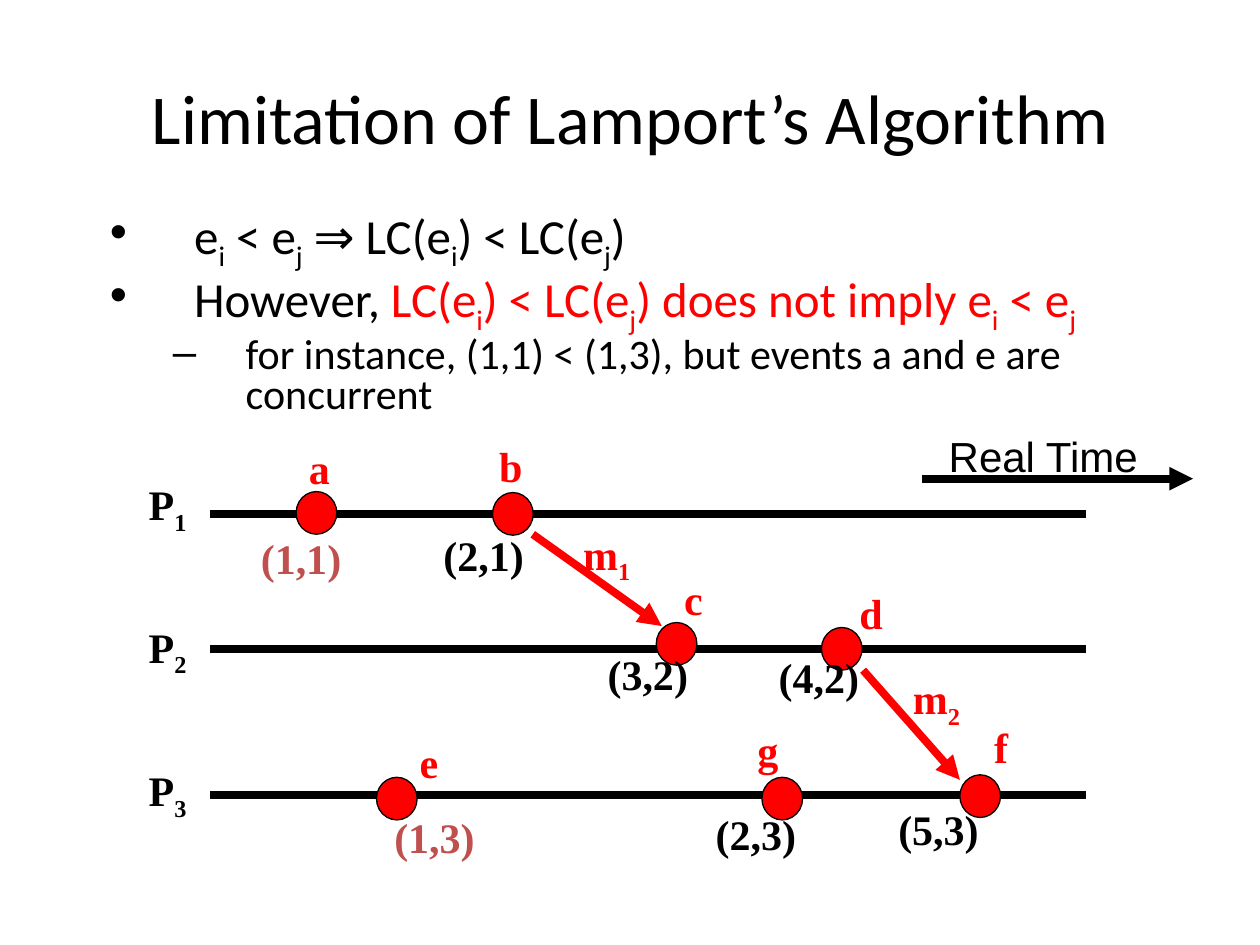
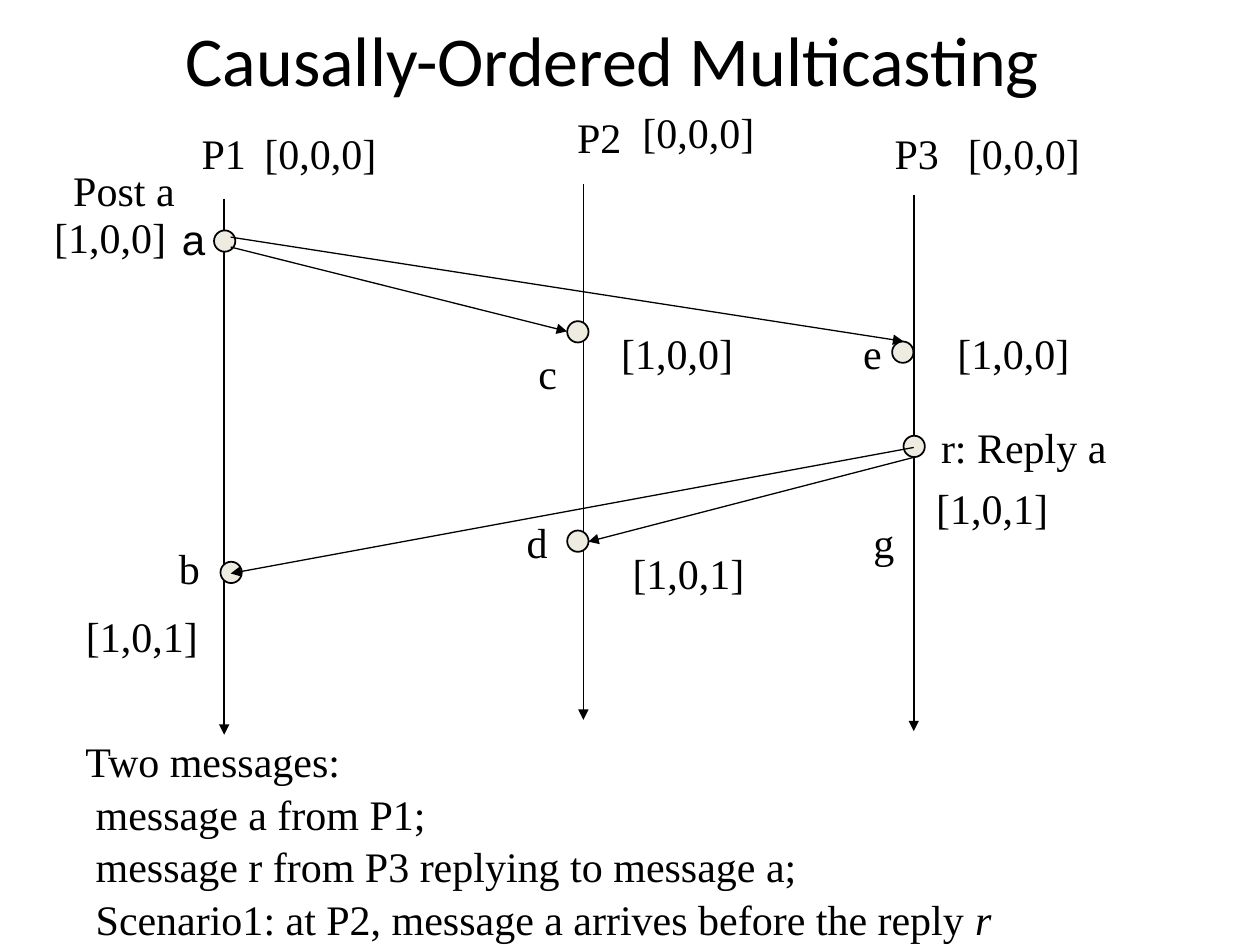
from pptx import Presentation
from pptx import util as u
from pptx.dml.color import RGBColor
from pptx.enum import shapes, text
from pptx.oxml import ns
from lxml import etree

Cm, Pt = u.Cm, u.Pt
COLORS = {"black": "000000", "red": "FF0000", "brick": "C0504D", "cream": "EEECE1"}
TITLE_FONT, LABEL_FONT, PLAIN_FONT = "Calibri", "Times New Roman", "Arial"


def rgb(name):
    return RGBColor.from_string(COLORS[name])


def write(p, words, size=24, font=LABEL_FONT, color="black", bold=False, italic=False):
    """Add words to a paragraph; the character after each "_" is a subscript."""
    first, *rest = words.split("_")
    pieces = [(first, False)]
    for part in rest:
        pieces += [(part[0], True), (part[1:], False)]
    for piece, lowered in pieces:
        if not piece:
            continue
        r = p.add_run()
        r.text = piece
        r.font.size, r.font.name = Pt(size), font
        r.font.bold, r.font.italic = bold, italic
        r.font.color.rgb = rgb(color)
        if lowered:
            r._r.get_or_add_rPr().set("baseline", "-25000")


def indent(p, left, hanging=0):
    pPr = p._p.get_or_add_pPr()
    pPr.set("marL", str(Cm(left)))
    pPr.set("indent", str(Cm(-hanging)))


class Deck:
    """Holds the style and the current slide."""

    def __init__(self):
        self.prs = Presentation()
        self.prs.slide_width, self.prs.slide_height = Cm(25.4), Cm(19.05)

    def place(self, sp, left, top, width, height):
        sp.left, sp.top, sp.width, sp.height = Cm(left), Cm(top), Cm(width), Cm(height)

    def slide(self, title, box, layout):
        self.s = self.prs.slides.add_slide(self.prs.slide_layouts[layout])
        sp = self.s.shapes.title
        self.place(sp, *box)
        tf = sp.text_frame
        tf.auto_size = text.MSO_AUTO_SIZE.NONE
        tf.vertical_anchor = text.MSO_ANCHOR.MIDDLE
        p = tf.paragraphs[0]
        p.alignment = text.PP_ALIGN.CENTER
        write(p, title, size=40, font=TITLE_FONT)

    def bullets(self, items, box):
        sp = self.s.placeholders[1]
        self.place(sp, *box)
        tf = sp.text_frame
        tf.auto_size = text.MSO_AUTO_SIZE.NONE
        for i, (level, runs) in enumerate(items):
            p = tf.add_paragraph() if i else tf.paragraphs[0]
            p.level, p.line_spacing = level, 0.8
            if not i:
                p.space_before = Pt(0)
            indent(p, *((1.7, 1.7), (2.74, 1.47))[level])
            for words, color in runs:
                write(p, words, size=(28, 24)[level], font=TITLE_FONT, color=color)

    def textbox(self, left, top, width, height, wrap):
        sp = self.s.shapes.add_textbox(Cm(left), Cm(top), Cm(width), Cm(height))
        sp.text_frame.word_wrap = wrap
        return sp.text_frame

    def label(self, words, x, top, width=1, **fmt):
        """One line of text centred on x."""
        p = self.textbox(x - width / 2, top, width, 1.27, False).paragraphs[0]
        p.alignment = text.PP_ALIGN.CENTER
        write(p, words, **fmt)

    def dot(self, x, y, width, height, fill, line):
        sp = self.s.shapes.add_shape(shapes.MSO_SHAPE.OVAL, Cm(x - width / 2),
                                     Cm(y - height / 2), Cm(width), Cm(height))
        sp.shadow.inherit = False
        sp.fill.solid()
        sp.fill.fore_color.rgb = rgb(fill)
        sp.line.color.rgb, sp.line.width = rgb("black"), Pt(line)

    def line(self, x1, y1, x2, y2, width, color="black", arrow=True):
        c = self.s.shapes.add_connector(shapes.MSO_CONNECTOR.STRAIGHT,
                                        Cm(x1), Cm(y1), Cm(x2), Cm(y2))
        c.line.color.rgb, c.line.width = rgb(color), Pt(width)
        if arrow:
            etree.SubElement(c.line._get_or_add_ln(), ns.qn("a:tailEnd"), type="triangle")
        etree.SubElement(c._element.spPr, ns.qn("a:effectLst"))


def limitation(d):
    d.slide("Limitation of Lamport’s Algorithm", (1.27, 0.76, 22.86, 3.18), layout=1)
    d.bullets([
        (0, [("e_i < e_j ⇒ LC(e_i) < LC(e_j)", "black")]),
        (0, [("However, ", "black"),
             ("LC(e_i) < LC(e_j) does not imply e_i < e_j", "red")]),
        (1, [("for instance, (1,1) < (1,3), but events a and e are concurrent", "black")]),
    ], (1.96, 4.14, 21.82, 4.34))

    # Process lines: name, line y, name top
    for name, y, top in (("P_1", 10.36, 9.53), ("P_2", 13.08, 12.4), ("P_3", 16.03, 15.29)):
        d.line(4.24, y, 21.89, y, 4.5, arrow=False)
        d.label(name, 3.38, top, 1.32, bold=True)

    # Time direction
    d.line(18.59, 9.65, 24.05, 9.65, 4.5)
    d.label("Real Time", 21.03, 8.56, 4.37, font=PLAIN_FONT)

    # Events: name and its place, dot centre, timestamp and its place
    events = [
        ("a", 6.44, 8.79, 6.38, 10.34, "(1,1)", 6.07, 10.62),
        ("b", 10.3, 8.76, 10.34, 10.36, "(2,1)", 9.75, 10.54),
        ("c", 13.98, 11.43, 13.64, 12.98, "(3,2)", 13.06, 12.95),
        ("d", 17.56, 11.71, 16.97, 13.08, "(4,2)", 16.51, 13),
        ("e", 8.65, 14.73, 8, 16.1, "(1,3)", 8.76, 16.23),
        ("f", 20.18, 14.43, 19.76, 16.05, "(5,3)", 18.92, 16.08),
        ("g", 15.48, 14.48, 15.77, 16.1, "(2,3)", 15.24, 16.18),
    ]
    for name, x, top, dot_x, dot_y, stamp, stamp_x, stamp_top in events:
        d.dot(dot_x, dot_y, 0.82, 0.86, "red", 0.75)
        d.label(name, x, top, color="red", bold=True)
        d.label(stamp, stamp_x, stamp_top, 2.13, bold=True,
                color="brick" if name in "ae" else "black")

    # Messages
    for name, x, top, ends in (("m_1", 12.23, 10.52, (10.74, 10.77, 13.34, 12.62)),
                               ("m_2", 18.88, 13.44, (17.4, 13.51, 19.35, 15.72))):
        d.line(*ends, 4.5, color="red")
        d.label(name, x, top, 1.5, color="red", bold=True)


def multicasting(d):
    d.slide("Causally-Ordered Multicasting", (0.46, 0, 23.77, 2.34), layout=5)

    # Processes: name, line x and top, name place, initial clock place
    for name, x, top, name_x, name_top, clock_x, clock_top in (
            ("P1", 4.52, 4.01, 4.51, 2.44, 6.46, 2.44),
            ("P2", 11.76, 3.71, 12.08, 2.13, 14.08, 2.03),
            ("P3", 18.42, 3.94, 18.48, 2.44, 20.64, 2.44)):
        d.line(x, top, x, top + 10.8, 1)
        d.label(name, name_x, name_top, 1.4)
        d.label("[0,0,0]", clock_x, clock_top, 2.77)

    # Event dots
    for x, y in ((4.53, 4.86), (4.66, 11.54), (11.65, 6.69),
                 (11.65, 10.91), (18.2, 7.1), (18.43, 9)):
        d.dot(x, y, 0.43, 0.43, "cream", 1)

    # Messages
    for ends in ((4.65, 4.98, 11.43, 6.68), (4.65, 4.78, 18.21, 6.88),
                 (18.42, 9.22, 11.86, 10.92), (18.42, 9.02, 4.65, 11.56)):
        d.line(*ends, 0.75)

    # Event names
    d.label("a", 3.9, 4.17, font=PLAIN_FONT)
    for name, x, top in (("b", 3.82, 10.82), ("c", 11.04, 6.88), ("d", 10.83, 10.29),
                         ("e", 17.59, 6.48), ("g", 17.82, 10.29)):
        d.label(name, x, top)
    d.label("Post a", 2.5, 3.2, 2.57)
    d.label("r: Reply a", 20.64, 8.38, 3.84)

    # Vector clocks
    clocks = {"[1,0,0]": ((2.22, 4.14), (13.65, 6.48), (20.43, 6.48)),
              "[1,0,1]": ((20, 9.6), (13.88, 10.92), (2.86, 12.19))}
    for clock, spots in clocks.items():
        for x, top in spots:
            d.label(clock, x, top, 2.77)

    # Scenario
    tf = d.textbox(1.47, 14.71, 19.33, 4.37, False)
    write(tf.paragraphs[0], "Two messages:")
    for words in ("message a from P1;", "message r from P3 replying to message a;",
                  "Scenario1: at P2, message a arrives before the reply "):
        p = tf.add_paragraph()
        indent(p, 0.21)
        p.space_before = Pt(1.2)
        write(p, words)
    write(p, "r", italic=True)


def main():
    d = Deck()
    limitation(d)
    multicasting(d)
    d.prs.save("out.pptx")


if __name__ == "__main__":
    main()
